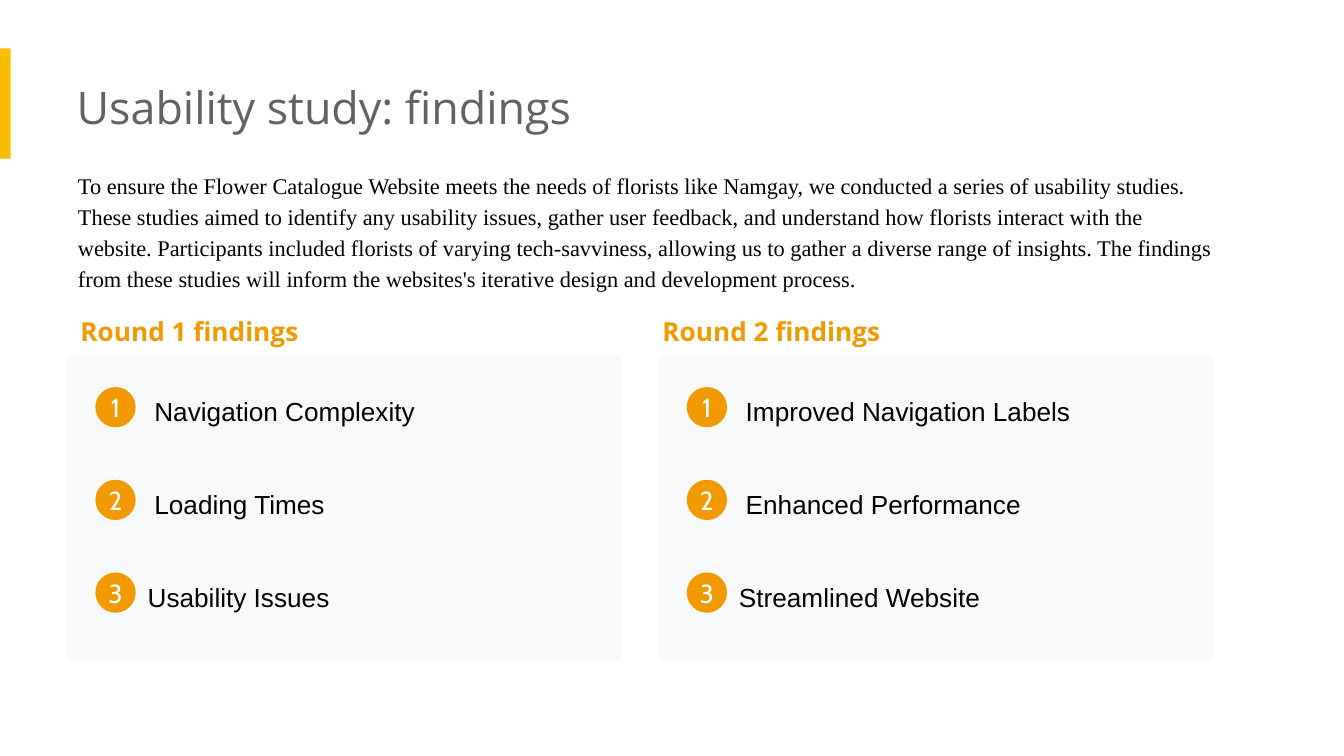
"""Build the usability study findings slide."""
from pptx import Presentation
from pptx.dml.color import RGBColor as RGB
from pptx.enum.shapes import MSO_SHAPE as Shape
from pptx.enum.text import MSO_ANCHOR as Anchor, MSO_AUTO_SIZE as Fit, PP_ALIGN as Align
from pptx.util import Inches, Pt

TITLE = "Usability study: findings"
INTRO = (
    "To ensure the Flower Catalogue Website meets the needs of florists like Namgay, "
    "we conducted a series of usability studies. These studies aimed to identify any "
    "usability issues, gather user feedback, and understand how florists interact with "
    "the website. Participants included florists of varying tech-savviness, allowing us "
    "to gather a diverse range of insights. The findings from these studies will inform "
    "the websites's iterative design and development process."
)
ROUNDS = [
    {"head": "Round 1 findings", "left": 0.5, "head_left": 0.5,
     "items": ["Navigation Complexity", "Loading Times", "Usability Issues"]},
    {"head": "Round 2 findings", "left": 4.9, "head_left": 4.83,
     "items": ["Improved Navigation Labels", "Enhanced Performance", "Streamlined Website"]},
]
INDENTS = [0.55, 0.55, 0.5]
TOP, STEP = 2.65, 0.69
COLORS = {"bar": "FBBC04", "title": "5F6368", "text": "000000",
          "accent": "F29900", "panel": "F8F9FA", "white": "FFFFFF"}
STYLES = {
    "title": {"name": "Open Sans", "size": Pt(24), "color": "title"},
    "intro": {"name": "Times New Roman", "size": Pt(12), "color": "text"},
    "head": {"name": "Open Sans", "size": Pt(14), "bold": True, "color": "accent"},
    "item": {"name": "Arial", "size": Pt(14), "color": "text"},
    "badge": {"name": "Cabin", "size": Pt(14), "color": "white"},
}


def write(shape, text, style, inset=0.1, left=0.1, space=1.15,
          align=Align.LEFT, anchor=Anchor.TOP, fit=Fit.SHAPE_TO_FIT_TEXT):
    frame = shape.text_frame
    frame.text = text
    form = {"word_wrap": True, "auto_size": fit, "vertical_anchor": anchor,
            "margin_left": Inches(left), "margin_right": Inches(inset),
            "margin_top": Inches(inset), "margin_bottom": Inches(inset)}
    for key, value in form.items():
        setattr(frame, key, value)
    para = frame.paragraphs[0]
    para.alignment, para.line_spacing = align, space
    font = para.runs[0].font
    for key, value in STYLES[style].items():
        if key == "color":
            font.color.rgb = RGB.from_string(COLORS[value])
        else:
            setattr(font, key, value)


def add_text(slide, box, text, style, **form):
    write(slide.shapes.add_textbox(*map(Inches, box)), text, style, **form)


def add_block(slide, kind, box, color):
    shape = slide.shapes.add_shape(kind, *map(Inches, box))
    shape.shadow.inherit = False
    shape.fill.solid()
    shape.fill.fore_color.rgb = RGB.from_string(COLORS[color])
    shape.line.fill.background()
    return shape


def add_round(slide, data):
    left = data["left"]
    add_block(slide, Shape.RECTANGLE, (left, TOP, 4.13, 2.26), "panel")
    add_text(slide, (data["head_left"], 2.21, 3.65, 0.44), data["head"], "head")
    for row, (item, indent) in enumerate(zip(data["items"], INDENTS)):
        top = TOP + 0.16 + row * STEP
        add_text(slide, (left + indent, top, 3.65, 0.47), item, "item")
        badge = add_block(slide, Shape.OVAL, (left + 0.21, top + 0.07, 0.3, 0.3), "accent")
        write(badge, str(row + 1), "badge", inset=0, left=0, space=1,
              align=Align.CENTER, anchor=Anchor.MIDDLE, fit=Fit.NONE)


def main():
    deck = Presentation()
    deck.slide_width = Inches(10)
    deck.slide_height = deck.slide_width * 9 // 16
    slide = deck.slides.add_slide(deck.slide_layouts[5])
    add_block(slide, Shape.RECTANGLE, (0, 0.36, 0.08, 0.82), "bar")
    title = slide.shapes.title
    for key, value in zip(("left", "top", "width", "height"), (0.57, 0.49, 6.73, 0.61)):
        setattr(title, key, Inches(value))
    write(title, TITLE, "title", left=0, space=1)
    add_text(slide, (0.58, 1.15, 8.61, 1.13), INTRO, "intro", left=0)
    for data in ROUNDS:
        add_round(slide, data)
    deck.save("out.pptx")


if __name__ == "__main__":
    main()
